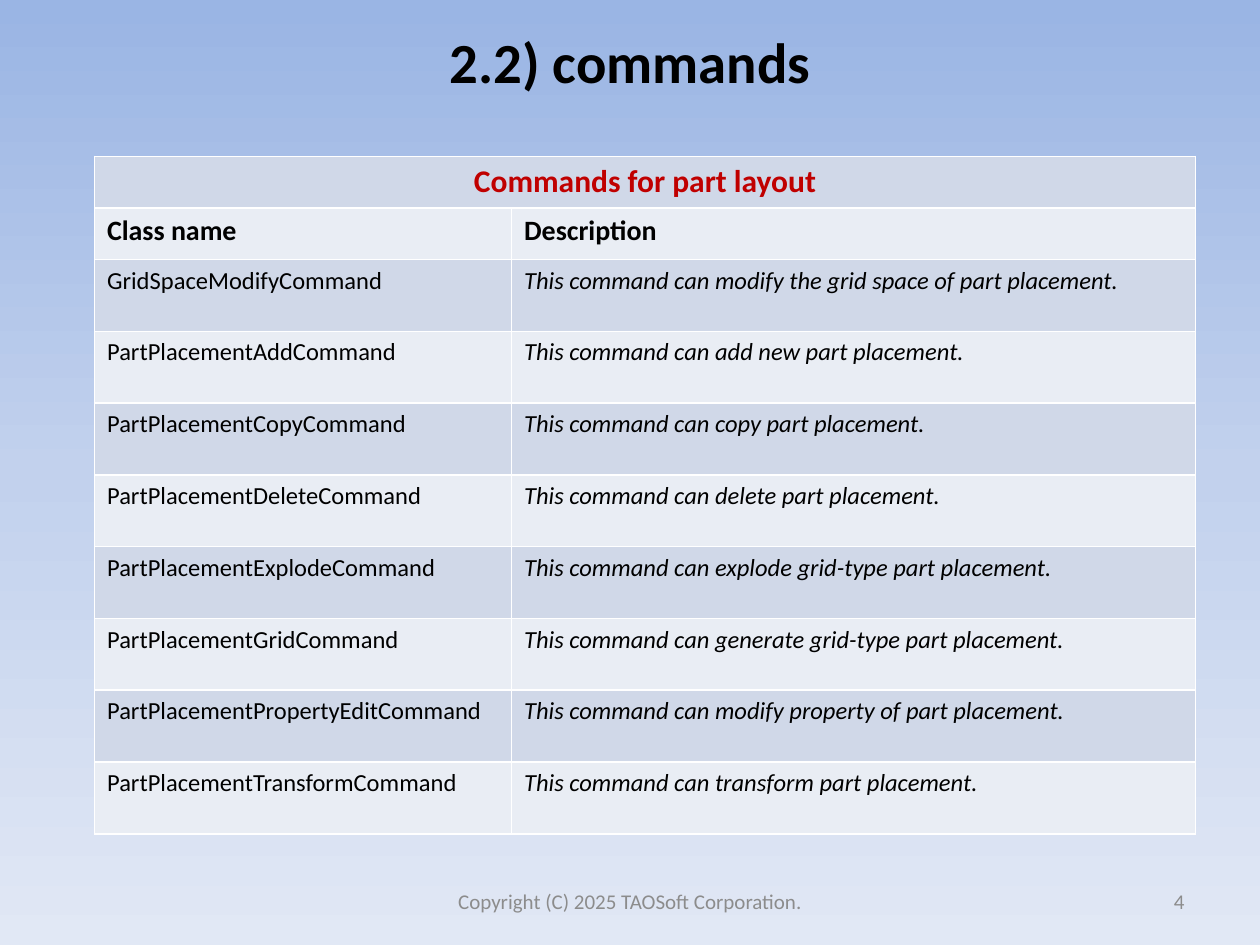
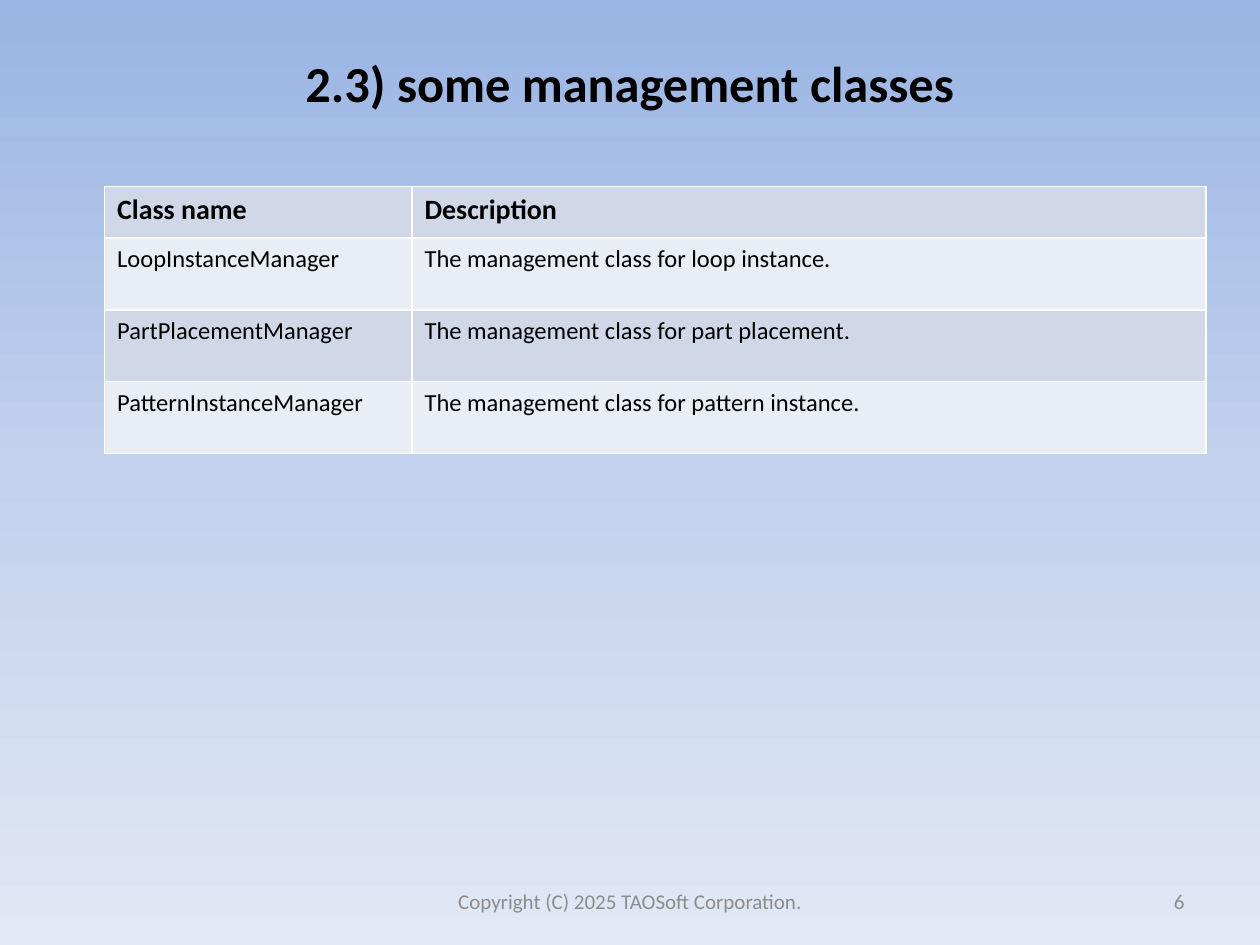
from copy import deepcopy

from lxml import etree
from pptx import Presentation
from pptx.dml.color import RGBColor
from pptx.enum.text import MSO_ANCHOR, PP_ALIGN
from pptx.oxml.ns import qn
from pptx.util import Inches, Pt

LEFT, CENTER, RIGHT = PP_ALIGN.LEFT, PP_ALIGN.CENTER, PP_ALIGN.RIGHT
MIDDLE = MSO_ANCHOR.MIDDLE

FONT = "Calibri"
BLACK = RGBColor(0x00, 0x00, 0x00)
RED = RGBColor(0xC0, 0x00, 0x00)
GREY = RGBColor(0x8C, 0x8C, 0x8C)
BANDS = (RGBColor(0xD0, 0xD8, 0xE8), RGBColor(0xE9, 0xED, 0xF4))
BORDER = RGBColor(0xFF, 0xFF, 0xFF)
SKY = (
    RGBColor(0x9A, 0xB5, 0xE4),
    RGBColor(0xC2, 0xD1, 0xED),
    RGBColor(0xE1, 0xE8, 0xF5),
)

WIDTH, HEIGHT = 10, 7.5
MARGIN = 0.05 * WIDTH
TABLE_WIDTH = 8.74
HEADER_ROW, CLASS_ROW = 0.41, 0.57
FOOTER_TOP, FOOTER_HEIGHT = 6.95, 0.4
FOOTER_WIDTH, NUMBER_WIDTH = 3.17, 2.33
TITLE_BOTTOM_INSET = 0.36

COPYRIGHT = "Copyright (C) 2025 TAOSoft Corporation."
HEADINGS = ("Class name", "Description")

PAGES = [
    {
        "number": 4,
        "title": "2.2) commands",
        "title_size": 32.4,
        "title_top": 0.21,
        "title_height": 0.85,
        "table_at": (0.75, 1.24),
        "name_width": 3.31,
        "caption": "Commands for part layout",
        "italic_descriptions": True,
        "classes": [
            ("GridSpaceModifyCommand", "This command can modify the grid space of part placement."),
            ("PartPlacementAddCommand", "This command can add new part placement."),
            ("PartPlacementCopyCommand", "This command can copy part placement."),
            ("PartPlacementDeleteCommand", "This command can delete part placement."),
            ("PartPlacementExplodeCommand", "This command can explode grid-type part placement."),
            ("PartPlacementGridCommand", "This command can generate grid-type part placement."),
            ("PartPlacementPropertyEditCommand", "This command can modify property of part placement."),
            ("PartPlacementTransformCommand", "This command can transform part placement."),
        ],
    },
    {
        "number": 6,
        "title": "2.3) some management classes",
        "title_size": 28.8,
        "title_top": 0.3,
        "title_height": 1.01,
        "table_at": (0.83, 1.48),
        "name_width": 2.44,
        "caption": None,
        "italic_descriptions": False,
        "classes": [
            ("LoopInstanceManager", "The management class for loop instance."),
            ("PartPlacementManager", "The management class for part placement."),
            ("PatternInstanceManager", "The management class for pattern instance."),
        ],
    },
]


def write(frame, text, size, color=BLACK, align=LEFT, bold=False, italic=False):
    frame.text = text
    paragraph = frame.paragraphs[0]
    paragraph.alignment = align
    font = paragraph.runs[0].font
    font.name, font.size, font.color.rgb = FONT, Pt(size), color
    font.bold, font.italic = bold, italic


def add_text(slide, box, text, size, **style):
    frame = slide.shapes.add_textbox(*map(Inches, box)).text_frame
    frame.word_wrap = True
    frame.vertical_anchor = MIDDLE
    write(frame, text, size, **style)
    return frame


def paint_background(master):
    fill = master.background.fill
    fill.gradient()
    fill.gradient_angle = 270
    stops = next(master.element.iter(qn("a:gsLst")))
    stops.append(deepcopy(stops[0]))
    for index, (stop, color) in enumerate(zip(fill.gradient_stops, SKY)):
        stop.position = index / (len(SKY) - 1)
        stop.color.rgb = color


def style_cell(cell, band):
    properties = cell._tc.get_or_add_tcPr()
    for side in ("a:lnL", "a:lnR", "a:lnT", "a:lnB"):
        line = etree.SubElement(properties, qn(side), w=str(Pt(1)))
        solid = etree.SubElement(line, qn("a:solidFill"))
        etree.SubElement(solid, qn("a:srgbClr"), val=str(BORDER))
    cell.fill.solid()
    cell.fill.fore_color.rgb = band


def add_class_table(slide, page):
    caption, classes = page["caption"], page["classes"]
    heading_row = 1 if caption else 0
    heights = [HEADER_ROW] * (heading_row + 1) + [CLASS_ROW] * len(classes)
    box = (*page["table_at"], TABLE_WIDTH, sum(heights))
    table = slide.shapes.add_table(len(heights), len(HEADINGS), *map(Inches, box)).table
    table.columns[0].width = Inches(page["name_width"])
    table.columns[1].width = Inches(TABLE_WIDTH - page["name_width"])
    for index, height in enumerate(heights):
        table.rows[index].height = Inches(height)
        for cell in table.rows[index].cells:
            style_cell(cell, BANDS[index % 2])

    if caption:
        table.cell(0, 0).merge(table.cell(0, 1))
        write(table.cell(0, 0).text_frame, caption, 18, RED, CENTER, bold=True)
    for column, heading in enumerate(HEADINGS):
        write(table.cell(heading_row, column).text_frame, heading, 16, bold=True)
    for row, (name, description) in enumerate(classes, heading_row + 1):
        write(table.cell(row, 0).text_frame, name, 14)
        write(table.cell(row, 1).text_frame, description, 14, italic=page["italic_descriptions"])


def add_page(deck, page):
    slide = deck.slides.add_slide(deck.slide_layouts[6])
    title_box = (MARGIN, page["title_top"], WIDTH - 2 * MARGIN, page["title_height"])
    title = add_text(slide, title_box, page["title"], page["title_size"], align=CENTER, bold=True)
    title.margin_bottom = Inches(TITLE_BOTTOM_INSET)
    add_class_table(slide, page)
    footer_box = ((WIDTH - FOOTER_WIDTH) / 2, FOOTER_TOP, FOOTER_WIDTH, FOOTER_HEIGHT)
    add_text(slide, footer_box, COPYRIGHT, 12, color=GREY, align=CENTER)
    number_box = (WIDTH - MARGIN - NUMBER_WIDTH, FOOTER_TOP, NUMBER_WIDTH, FOOTER_HEIGHT)
    add_text(slide, number_box, str(page["number"]), 12, color=GREY, align=RIGHT)


def main():
    deck = Presentation()
    deck.slide_width, deck.slide_height = Inches(WIDTH), Inches(HEIGHT)
    paint_background(deck.slide_master)
    for page in PAGES:
        add_page(deck, page)
    deck.save("out.pptx")


if __name__ == "__main__":
    main()
